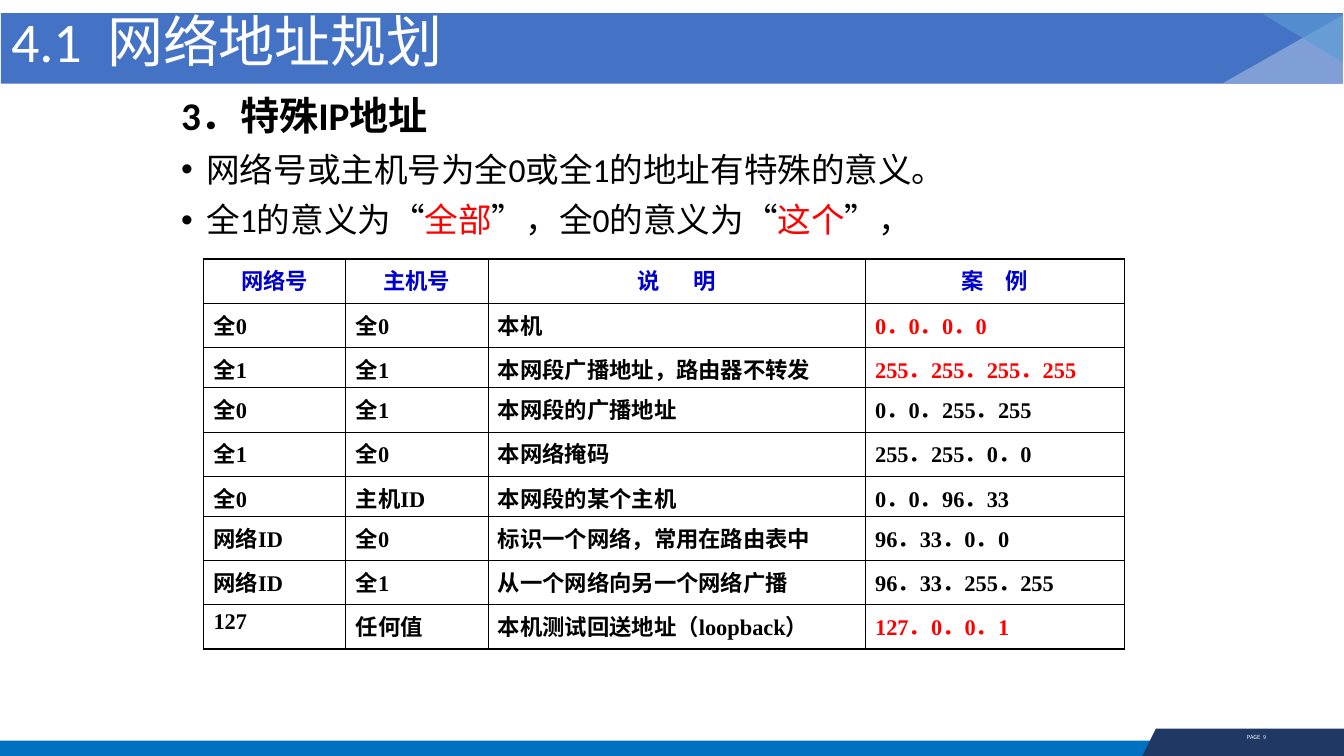
import pptx
import pptx.dml.color
import pptx.enum.shapes
import pptx.enum.text
import pptx.oxml
import pptx.oxml.ns
import pptx.util

RGB = pptx.dml.color.RGBColor
SHAPE = pptx.enum.shapes.MSO_SHAPE
ALIGN = pptx.enum.text.PP_ALIGN
ANCHOR = pptx.enum.text.MSO_ANCHOR

WHITE = RGB(0xFF, 0xFF, 0xFF)
BLACK = RGB(0x00, 0x00, 0x00)
RED = RGB(0xFF, 0x00, 0x00)
HEADING_BLUE = RGB(0x00, 0x00, 0xCC)
BANNER_BLUE = RGB(0x44, 0x72, 0xC4)
PALE_BLUE = RGB(0x8F, 0xAA, 0xDC)
SKY_BLUE = RGB(0x5B, 0x9B, 0xD5)
FOOTER_BLUE = RGB(0x00, 0x70, 0xC0)
NAVY = RGB(0x20, 0x38, 0x64)

SANS, SERIF, CHINESE = "Calibri", "Times New Roman", "Noto Sans CJK SC"
SLIDE_WIDTH, SLIDE_HEIGHT = pptx.util.Inches(13.34), pptx.util.Inches(7.5)

COLUMN_WEIGHTS = [1.41, 1.41, 3.74, 2.57]
ROW_WEIGHTS = [11, 11, 10] * 2 + [11] * 3
HEADINGS = [("网络号", 0), ("主机号", 0), ("说 明", 20), ("案 例", 12)]
ADDRESSES = [
    ("全0", "全0", "本机", "0．0．0．0", RED),
    ("全1", "全1", "本网段广播地址，路由器不转发", "255．255．255．255", RED),
    ("全0", "全1", "本网段的广播地址", "0．0．255．255", BLACK),
    ("全1", "全0", "本网络掩码", "255．255．0．0", BLACK),
    ("全0", "主机ID", "本网段的某个主机", "0．0．96．33", BLACK),
    ("网络ID", "全0", "标识一个网络，常用在路由表中", "96．33．0．0", BLACK),
    ("网络ID", "全1", "从一个网络向另一个网络广播", "96．33．255．255", BLACK),
    ("127", "任何值", "本机测试回送地址（loopback）", "127．0．0．1", RED),
]


def region(left, top, width, height):
    """Turn percentages of the slide into a box."""
    return (int(SLIDE_WIDTH * left / 100), int(SLIDE_HEIGHT * top / 100),
            int(SLIDE_WIDTH * width / 100), int(SLIDE_HEIGHT * height / 100))


def within(box, left, top, width, height):
    """Turn shares of a box into a smaller box."""
    return (int(box[0] + box[2] * left), int(box[1] + box[3] * top),
            int(box[2] * width), int(box[3] * height))


def write(paragraph, pieces, size, font, bold=False, gap=0):
    """Fill a paragraph with coloured runs; a run of one space widens by gap points."""
    for text, color in pieces:
        run = paragraph.add_run()
        run.text = text
        run.font.size = pptx.util.Pt(size)
        run.font.bold = bold
        run.font.color.rgb = color
        run.font.name = font
        properties = run.font._element
        east_asian = pptx.oxml.parse_xml(
            f'<a:ea {pptx.oxml.ns.nsdecls("a")} typeface="{CHINESE}"/>')
        properties.find(pptx.oxml.ns.qn("a:latin")).addnext(east_asian)
        if text == " " and gap:
            properties.set("spc", str(gap * 100))


def paint(shape, color, opacity=100):
    """Give a shape a plain fill without line or shadow."""
    shape.shadow.inherit = False
    shape.line.fill.background()
    shape.fill.solid()
    shape.fill.fore_color.rgb = color
    if opacity < 100:
        solid = shape._element.spPr.find(pptx.oxml.ns.qn("a:solidFill"))
        solid[0].append(pptx.oxml.parse_xml(
            f'<a:alpha {pptx.oxml.ns.nsdecls("a")} val="{opacity * 1000}"/>'))


def add_footer(slide, box):
    """Draw the bottom bar with its slanted page tab."""
    bar = slide.shapes.add_shape(SHAPE.RECTANGLE, *within(box, 0, 0.44, 1, 0.56))
    paint(bar, FOOTER_BLUE)
    left, top, width, height = box
    outline = slide.shapes.build_freeform(int(left + width * 0.86), top)
    outline.add_line_segments([(left + width, top), (left + width, top + height),
                               (int(left + width * 0.85), top + height)])
    paint(outline.convert_to_shape(), NAVY)
    page = slide.shapes.add_textbox(*within(box, 0.91, 0, 0.05, 0.67)).text_frame
    page.word_wrap = False
    page.paragraphs[0].alignment = ALIGN.CENTER
    write(page.paragraphs[0], [("PAGE", WHITE), (" ", WHITE), ("9", WHITE)], 4, CHINESE, gap=1)


def add_banner(slide, box):
    """Draw the title banner, its corner triangles and the title."""
    paint(slide.shapes.add_shape(SHAPE.RECTANGLE, *box), BANNER_BLUE)
    corners = [((0.91, 0.03, 0.09, 0.97), PALE_BLUE, 82, ["flipH"]),
               ((0.94, 0.01, 0.06, 0.69), SKY_BLUE, 67, ["flipH", "flipV"])]
    for shares, color, opacity, flips in corners:
        corner = slide.shapes.add_shape(SHAPE.ISOSCELES_TRIANGLE, *within(box, *shares))
        corner.adjustments[0] = 0
        for flip in flips:
            corner._element.spPr.xfrm.set(flip, "1")
        paint(corner, color, opacity)

    title = slide.shapes.title
    title.left, title.top, title.width, title.height = within(box, 0, 0, 0.71, 0.9)
    slide.shapes._spTree.append(title._element)
    frame = title.text_frame
    frame.auto_size = pptx.enum.text.MSO_AUTO_SIZE.NONE
    frame.vertical_anchor = ANCHOR.MIDDLE
    heading = frame.paragraphs[0]
    heading.alignment = ALIGN.LEFT
    heading.line_spacing = 0.9
    write(heading, [("4.1", WHITE), (" ", WHITE), ("网络地址规划", WHITE)], 40, SANS, gap=9)


def add_points(slide, box):
    """Write the section heading and its two bullets."""
    frame = slide.shapes.add_textbox(*box).text_frame
    frame.word_wrap = True
    heading = frame.paragraphs[0]
    heading.line_spacing = 0.9
    write(heading, [("3．特殊IP地址", BLACK)], 28, SANS, bold=True)
    points = [
        [("网络号或主机号为全0或全1的地址有特殊的意义。", BLACK)],
        [("全1的意义为“", BLACK), ("全部", RED), ("”，全0的意义为“", BLACK),
         ("这个", RED), ("”，", BLACK)],
    ]
    for pieces in points:
        point = frame.add_paragraph()
        properties = point._p.get_or_add_pPr()
        indent = pptx.util.Inches(0.25)
        properties.set("marL", str(indent))
        properties.set("indent", str(-indent))
        for bullet in ('buFont {} typeface="Arial"', 'buChar {} char="•"'):
            properties.append(pptx.oxml.parse_xml(
                f'<a:{bullet.format(pptx.oxml.ns.nsdecls("a"))}/>'))
        point.line_spacing = 0.9
        point.space_before = pptx.util.Pt(10)
        write(point, pieces, 24, SANS)


def set_borders(cell, widths):
    """Draw black cell borders with the given widths in points."""
    for side, width in widths.items():
        cell._tc.get_or_add_tcPr().append(pptx.oxml.parse_xml(
            f'<a:ln{side} {pptx.oxml.ns.nsdecls("a")} w="{pptx.util.Pt(width)}">'
            f'<a:solidFill><a:srgbClr val="{BLACK}"/></a:solidFill></a:ln{side}>'))


def add_address_table(slide, box):
    """Build the table of special addresses."""
    last_row, last_column = len(ROW_WEIGHTS) - 1, len(COLUMN_WEIGHTS) - 1
    table = slide.shapes.add_table(last_row + 1, last_column + 1, *box).table
    table.first_row = table.horz_banding = False
    for column, weight in zip(table.columns, COLUMN_WEIGHTS):
        column.width = int(box[2] * weight / sum(COLUMN_WEIGHTS))
    for row, weight in zip(table.rows, ROW_WEIGHTS):
        row.height = int(box[3] * weight / sum(ROW_WEIGHTS))

    for c, (text, gap) in enumerate(HEADINGS):
        heading = table.cell(0, c).text_frame.paragraphs[0]
        heading.alignment = ALIGN.CENTER
        pieces = [(part, HEADING_BLUE) for part in text.partition(" ") if part]
        write(heading, pieces, 16, SERIF, bold=True, gap=gap)
    for r, (*texts, example_color) in enumerate(ADDRESSES, start=1):
        for c, text in enumerate(texts):
            color = example_color if c == last_column else BLACK
            write(table.cell(r, c).text_frame.paragraphs[0], [(text, color)], 16, SERIF, bold=True)
    for r in range(last_row + 1):
        for c in range(last_column + 1):
            cell = table.cell(r, c)
            set_borders(cell, {"L": 1.08 if c == 0 else 0.45,
                               "R": 1.08 if c == last_column else 0.45,
                               "T": 0.96 if r == 0 else 0.45,
                               "B": 0.96 if r == last_row else 0.45})
            cell.fill.background()


def main():
    """Build and save the slide."""
    deck = pptx.Presentation()
    deck.slide_width, deck.slide_height = SLIDE_WIDTH, SLIDE_HEIGHT
    slide = deck.slides.add_slide(deck.slide_layouts[5])
    add_footer(slide, region(0, 96.4, 100, 3.6))
    add_banner(slide, region(0.07, 1.73, 99.85, 9.33))
    add_points(slide, region(12.74, 12.13, 71.74, 21.6))
    add_address_table(slide, region(15.14, 34.27, 68.52, 51.6))
    deck.save("out.pptx")


if __name__ == "__main__":
    main()
